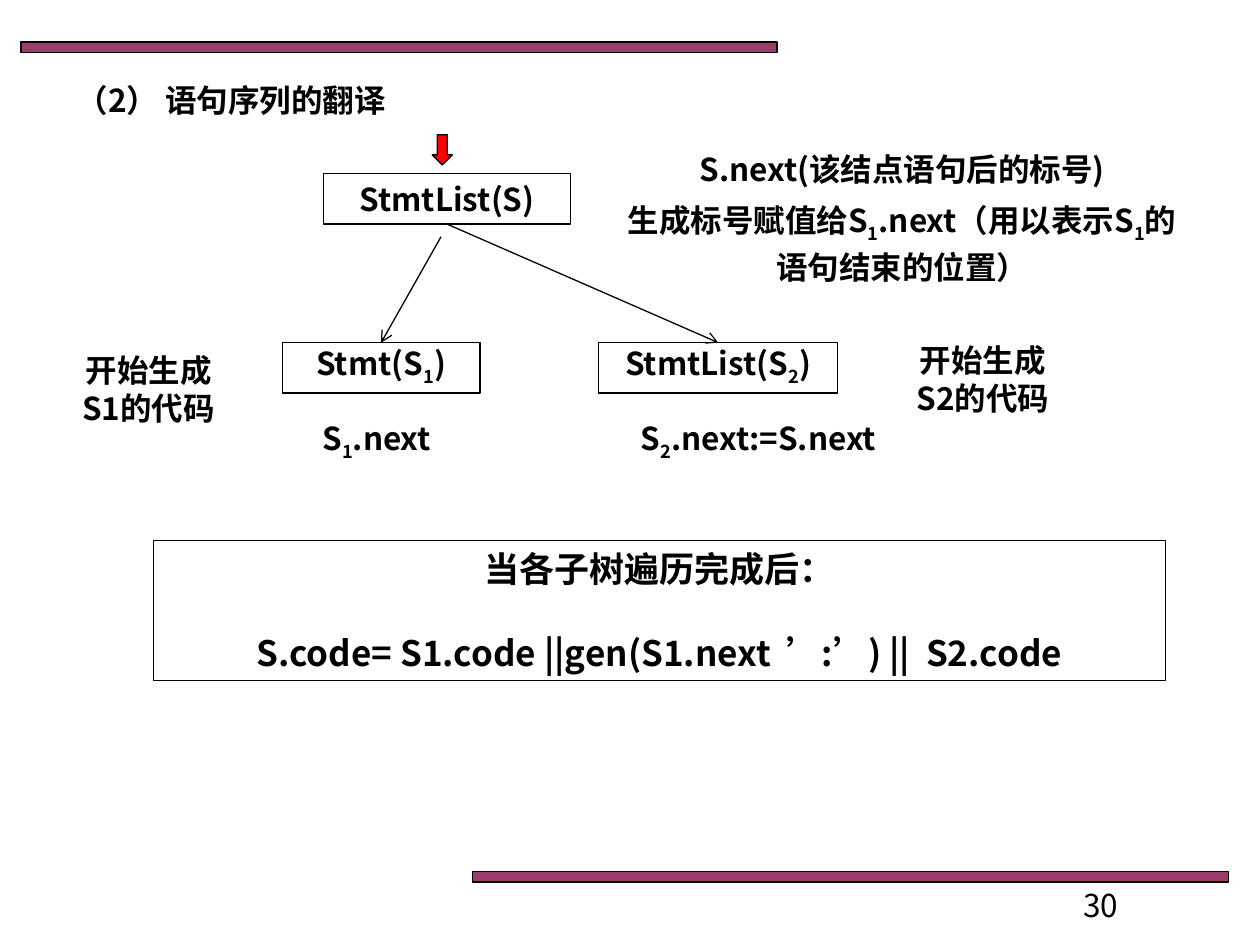
import pptx
import pptx.dml.color
import pptx.enum.shapes
import pptx.enum.text
import pptx.oxml
import pptx.oxml.ns
import pptx.util
import lxml.etree

Pt = pptx.util.Pt
KIND = pptx.enum.shapes.MSO_SHAPE
ALIGN = pptx.enum.text.PP_ALIGN
ANCHOR = pptx.enum.text.MSO_ANCHOR
qn = pptx.oxml.ns.qn

HEX = {"ink": "000000", "bar": "993366", "flag": "FF0000"}
FONT = "Noto Sans CJK SC"
ROW = 28.8


def tint(name):
    return pptx.dml.color.RGBColor.from_string(HEX[name])


def write(shape, paras, size=18, bold=True, align=ALIGN.CENTER,
          anchor=ANCHOR.MIDDLE, pitch=21.6, gap=0):
    """Fill a shape with text; every second piece of a paragraph split at "_" is a subscript."""
    frame = shape.text_frame
    for key, val in {"word_wrap": True, "vertical_anchor": anchor}.items():
        setattr(frame, key, val)
    for i, text in enumerate(paras):
        para = frame.paragraphs[0] if i == 0 else frame.add_paragraph()
        look = {"alignment": align, "line_spacing": Pt(pitch),
                "space_before": Pt(gap if i else 0)}
        for key, val in look.items():
            setattr(para, key, val)
        for j, part in enumerate(text.split("_")):
            run = para.add_run()
            run.text = part
            for key, val in {"name": FONT, "size": Pt(size), "bold": bold}.items():
                setattr(run.font, key, val)
            run.font.color.rgb = tint("ink")
            props = run.font._element
            lxml.etree.SubElement(props, qn("a:ea")).set("typeface", FONT)
            if j % 2:
                props.set("baseline", "-25000")


def label(slide, box, *paras, **look):
    text = slide.shapes.add_textbox(*map(Pt, box))
    write(text, paras, **look)


def block(slide, box, fill=None, kind=KIND.RECTANGLE):
    shape = slide.shapes.add_shape(kind, *map(Pt, box))
    shape.shadow.inherit = False
    if fill:
        shape.fill.solid()
        shape.fill.fore_color.rgb = tint(fill)
    else:
        shape.fill.background()
    shape.line.color.rgb = tint("ink")
    shape.line.width = Pt(0.75)
    return shape


def bar(slide, box):
    shape = block(slide, box, "bar")
    shade = shape._element.spPr.find(qn("a:solidFill"))[0]
    lxml.etree.SubElement(shade, qn("a:alpha")).set("val", "96000")


def arrow(slide, start, node, root=None):
    """Draw an arrow to the top of a node, from a root's bottom if one is given."""
    line = slide.shapes.add_connector(
        pptx.enum.shapes.MSO_CONNECTOR.STRAIGHT, *map(Pt, start),
        node.left + node.width // 2, node.top)
    if root is not None:
        line.begin_connect(root, 2)
    line.end_connect(node, 0)
    line.line.color.rgb = tint("ink")
    line.line.width = Pt(0.75)
    tail = lxml.etree.SubElement(line.line._get_or_add_ln(), qn("a:tailEnd"))
    tail.set("type", "arrow")
    lxml.etree.SubElement(line._element.spPr, qn("a:effectLst"))


def tree(slide, x, y):
    block(slide, (x + 85.7, y, 11.5, 17.3), "flag", KIND.DOWN_ARROW)
    nodes = []
    for dx, dy, wide, text in (
            (23.7, 22.3, 141.1, "StmtList(S)"),
            (0, 118.8, 113, "Stmt(S_1_)"),
            (180.7, 118.8, 136.8, "StmtList(S_2_)")):
        node = block(slide, (x + dx, y + dy, wide, ROW))
        write(node, [text])
        nodes.append(node)
    root, left, right = nodes
    arrow(slide, (x + 90.7, y + 58.3), left)
    arrow(slide, (x + 94.3, y + 51.1), right, root)
    label(slide, (x, y + 162, 108, ROW), "S_1_.next")
    label(slide, (x + 181.4, y + 162, 181.4, ROW), "S_2_.next:=S.next")


def notes(slide, x, y, wide):
    label(slide, (x, y, wide, ROW), "S.next(该结点语句后的标号)")
    label(slide, (x, y + 31.7, wide, 51.1),
          "生成标号赋值给S_1_.next（用以表示S_1_的语句结束的位置）", pitch=24)


def result(slide, box):
    write(block(slide, box),
          ["当各子树遍历完成后：", "S.code= S1.code ||gen(S1.next  ’:’) ||  S2.code"],
          size=20, pitch=24, gap=24)


def build():
    deck = pptx.Presentation()
    deck.slide_width, deck.slide_height = Pt(720), Pt(540)
    slide = deck.slides.add_slide(deck.slide_layouts[6])
    for x, y in ((12, 24), (270, 498)):
        bar(slide, (x, y, 432, 6))
    label(slide, (36.7, 42.5, 306, ROW), "（2） 语句序列的翻译", align=ALIGN.LEFT)
    tree(slide, 161.3, 77)
    notes(slide, 342.7, 82.1, 345.6)
    for x, y, name in ((36.7, 196.6, "S1"), (513.4, 190.8, "S2")):
        label(slide, (x, y, 96.5, 51.1), f"开始生成{name}的代码")
    result(slide, (87.8, 308.9, 578.2, 79.9))
    label(slide, (612, 502.6, 100, ROW), "30", bold=False,
          align=ALIGN.LEFT, anchor=ANCHOR.TOP)
    deck.save("out.pptx")


if __name__ == "__main__":
    build()
